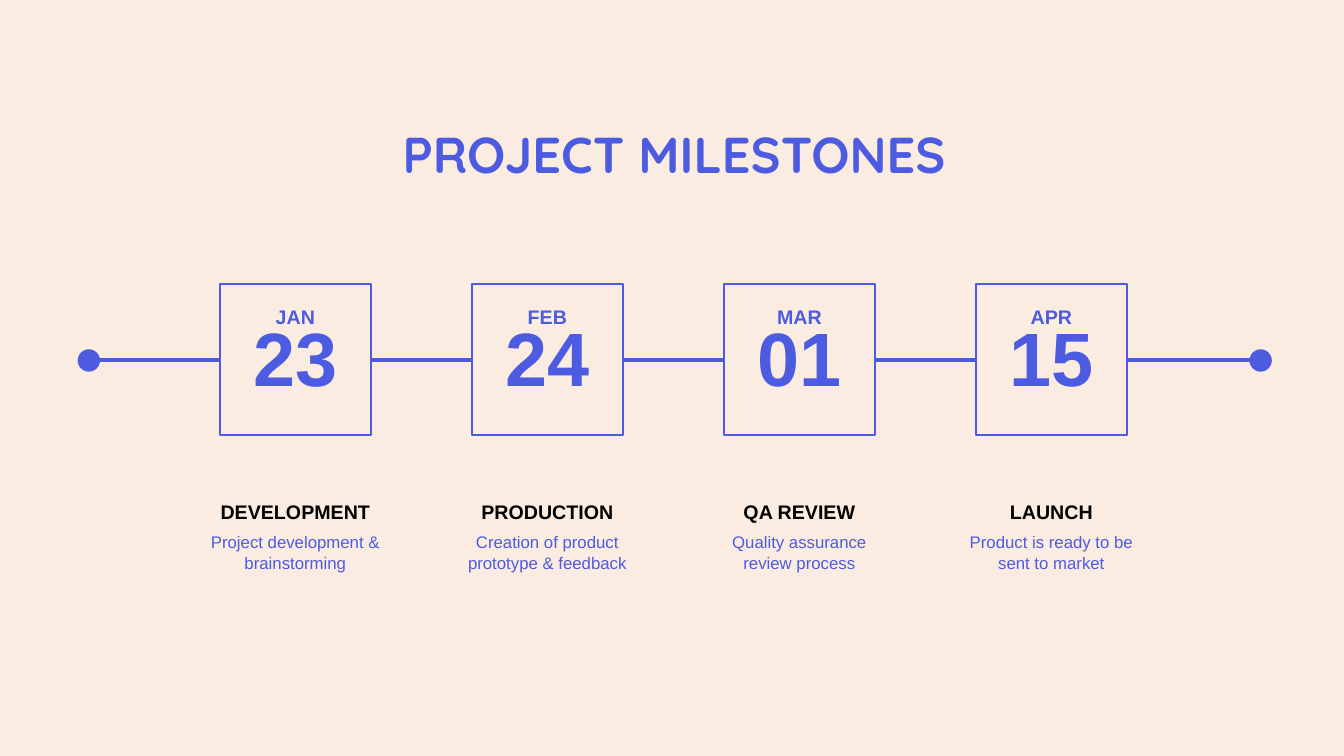
from pptx import Presentation
from pptx.dml.color import RGBColor
from pptx.enum import shapes, text
from pptx.oxml import ns
from pptx.util import Pt
from lxml import etree

BLUE, BLACK, CREAM = "4D5BE1", "000000", "FAECE1"
MIDDLE, TOP = text.MSO_ANCHOR.MIDDLE, text.MSO_ANCHOR.TOP


def color(hex_string):
    return RGBColor.from_string(hex_string)


class TimelineSlide:
    """Holds the text styles and the slide being drawn."""

    styles = {
        "title": {"name": "Quicksand", "size": Pt(36), "bold": True},
        "day": {"name": "Arial", "size": Pt(54), "bold": True},
        "label": {"name": "Arial", "size": Pt(14), "bold": True},
        "detail": {"name": "Arial", "size": Pt(12), "bold": False},
    }

    def __init__(self, presentation):
        self.slide = presentation.slides.add_slide(presentation.slide_layouts[5])
        background = self.slide.background.fill
        background.solid()
        background.fore_color.rgb = color(CREAM)

    def set_text(self, shape, words, style, hex_string=BLUE, anchor=TOP,
                 spacing=0.9, insets=(7.2, 3.6, 7.2, 3.6)):
        frame = shape.text_frame
        left, top, right, bottom = map(Pt, insets)
        frame_format = {
            "word_wrap": True, "auto_size": text.MSO_AUTO_SIZE.NONE,
            "vertical_anchor": anchor, "margin_left": left, "margin_top": top,
            "margin_right": right, "margin_bottom": bottom,
        }
        for name, value in frame_format.items():
            setattr(frame, name, value)
        paragraph = frame.paragraphs[0]
        paragraph.text = words
        paragraph.alignment = text.PP_ALIGN.CENTER
        paragraph.line_spacing = spacing
        for run in paragraph.runs:
            for name, value in self.styles[style].items():
                setattr(run.font, name, value)
            run.font.color.rgb = color(hex_string)

    def title(self, words, left, top, width, height):
        shape = self.slide.shapes.title
        box = {"left": left, "top": top, "width": width, "height": height}
        for name, value in box.items():
            setattr(shape, name, Pt(value))
        self.set_text(shape, words, "title", anchor=MIDDLE)

    def label(self, words, center, top, width, height, style, **options):
        shape = self.slide.shapes.add_textbox(
            Pt(center - width / 2), Pt(top), Pt(width), Pt(height))
        self.set_text(shape, words, style, **options)

    def shape(self, kind, center_x, center_y, size, fill, line_width=0):
        shape = self.slide.shapes.add_shape(
            kind, Pt(center_x - size / 2), Pt(center_y - size / 2), Pt(size), Pt(size))
        shape.shadow.inherit = False
        shape.fill.solid()
        shape.fill.fore_color.rgb = color(fill)
        if line_width:
            shape.line.color.rgb = color(BLUE)
            shape.line.width = Pt(line_width)
        else:
            shape.line.fill.background()
        return shape

    def line(self, start, end, y, width):
        connector = self.slide.shapes.add_connector(
            shapes.MSO_CONNECTOR.STRAIGHT, Pt(start), Pt(y), Pt(end), Pt(y))
        connector.line.color.rgb = color(BLUE)
        connector.line.width = Pt(width)
        etree.SubElement(connector._element.spPr, ns.qn("a:effectLst"))


def main():
    presentation = Presentation()
    presentation.slide_width, presentation.slide_height = Pt(960), Pt(540)
    timeline = TimelineSlide(presentation)
    timeline.title("PROJECT MILESTONES", 62.5, 84, 838, 56)

    # Time axis with a dot at each end
    axis_y, axis_start, axis_end = 257, 63.5, 900.5
    timeline.line(axis_start, axis_end, axis_y, 3.25)
    for dot_x in (axis_start, axis_end):
        timeline.shape(shapes.MSO_SHAPE.OVAL, dot_x, axis_y + 0.5, 16, BLUE)

    # Milestones: date square on the axis, heading and detail below
    milestones = [
        ("JAN", "23", "DEVELOPMENT", "Project development & brainstorming"),
        ("FEB", "24", "PRODUCTION", "Creation of product prototype & feedback"),
        ("MAR", "01", "QA REVIEW", "Quality assurance\vreview process"),
        ("APR", "15", "LAUNCH", "Product is ready to be sent to market"),
    ]
    first_center, step = 211, 180
    for index, (month, day, heading, detail) in enumerate(milestones):
        center = first_center + index * step
        square = timeline.shape(
            shapes.MSO_SHAPE.RECTANGLE, center, axis_y, 108, CREAM, 1.5)
        timeline.set_text(square, day, "day", anchor=MIDDLE, insets=(0, 7.2, 0, 3.6))
        timeline.label(month, center, 216, 59, 24, "label")
        timeline.label(heading, center, 355.5, 144, 22, "label", hex_string=BLACK)
        timeline.label(detail, center, 376.5, 144, 48, "detail", spacing=1.0)

    presentation.save("out.pptx")


if __name__ == "__main__":
    main()
